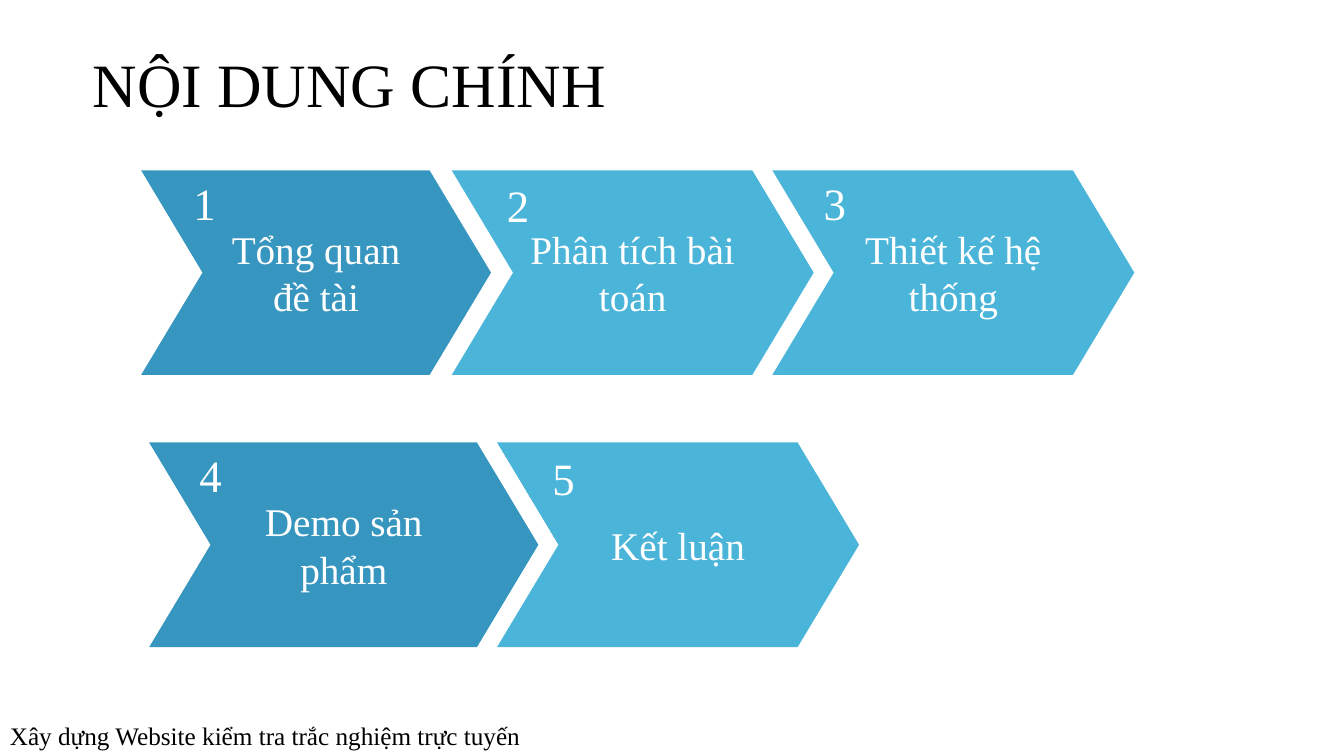
from dataclasses import dataclass

from pptx import Presentation
from pptx import util as u
from pptx.dml.color import RGBColor
from pptx.enum import shapes, text


@dataclass(frozen=True)
class Theme:
    font: str = "Times New Roman"
    ink: str = "000000"
    light: str = "FFFFFF"
    lead_fill: str = "3796BF"
    next_fill: str = "4BB5D9"
    title_size: int = 44
    number_size: int = 32
    step_size: int = 28
    footer_size: int = 18


class Agenda:
    def __init__(self, page, theme):
        self.page = page
        self.theme = theme

    def set_text(self, frame, words, size, color):
        """Fill a text frame with one styled paragraph and return it."""
        frame.word_wrap = True
        para = frame.paragraphs[0]
        para.text = words
        para.font.name = self.theme.font
        para.font.size = u.Pt(size)
        para.font.color.rgb = RGBColor.from_string(color)
        return para

    def label(self, words, left, top, width, height, size, color):
        box = self.page.shapes.add_textbox(
            u.Inches(left), u.Inches(top), u.Inches(width), u.Inches(height))
        self.set_text(box.text_frame, words, size, color)
        return box

    def title(self, words):
        box = self.label(words, 0.82, 0.14, 11.14, 1.45,
                         self.theme.title_size, self.theme.ink)
        box.text_frame.vertical_anchor = text.MSO_ANCHOR.MIDDLE
        box.text_frame.paragraphs[0].line_spacing = 0.9

    def chevron(self, words, left, top, width, fill):
        arrow = self.page.shapes.add_shape(
            shapes.MSO_SHAPE.CHEVRON,
            u.Inches(left), u.Inches(top), u.Inches(width), u.Inches(2.03))
        arrow.adjustments[0] = 0.3
        arrow.shadow.inherit = False
        arrow.fill.solid()
        arrow.fill.fore_color.rgb = RGBColor.from_string(fill)
        arrow.line.fill.background()
        frame = arrow.text_frame
        frame.margin_left = frame.margin_right = u.Inches(0.1)
        frame.margin_top = frame.margin_bottom = u.Inches(0.1)
        frame.vertical_anchor = text.MSO_ANCHOR.MIDDLE
        para = self.set_text(frame, words, self.theme.step_size, self.theme.light)
        para.alignment = text.PP_ALIGN.CENTER

    def number(self, value, left, top):
        self.label(str(value), left, top, 0.65, 0.64,
                   self.theme.number_size, self.theme.light)

    def footer(self, words):
        self.label(words, 0, 7.1, 6.17, 0.4,
                   self.theme.footer_size, self.theme.ink)


def main():
    deck = Presentation()
    deck.slide_width, deck.slide_height = u.Inches(13.33), u.Inches(7.5)
    theme = Theme()
    agenda = Agenda(deck.slides.add_slide(deck.slide_layouts[6]), theme)

    agenda.title("NỘI DUNG CHÍNH")
    upper, lower = 1.69, 4.39
    # words, left, top, width, fill, number's left and top offset
    steps = [
        ("Tổng quan đề tài", 1.4, upper, 3.47, theme.lead_fill, 0.42, 0),
        ("Phân tích bài toán", 4.48, upper, 3.59, theme.next_fill, 0.45, 0.02),
        ("Thiết kế hệ thống", 7.66, upper, 3.59, theme.next_fill, 0.41, 0),
        ("Demo sản phẩm", 1.48, lower, 3.86, theme.lead_fill, 0.4, 0),
        ("Kết luận", 4.93, lower, 3.59, theme.next_fill, 0.45, 0.03),
    ]
    for value, (words, left, top, width, fill, across, down) in enumerate(steps, 1):
        agenda.chevron(words, left, top, width, fill)
        agenda.number(value, left + across, top + down)
    agenda.footer("Xây dựng Website kiểm tra trắc nghiệm trực tuyến")

    deck.save("out.pptx")


if __name__ == "__main__":
    main()
